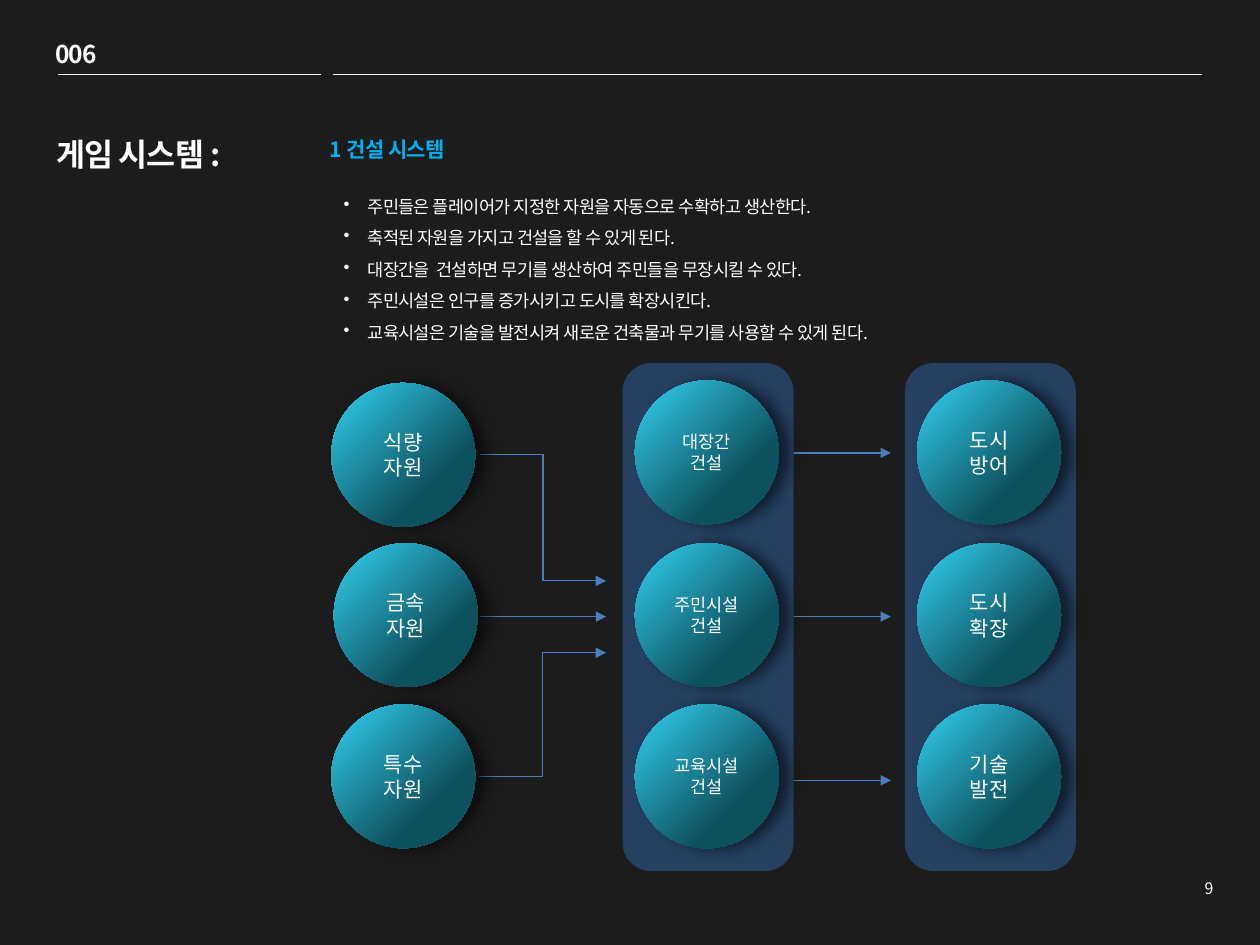
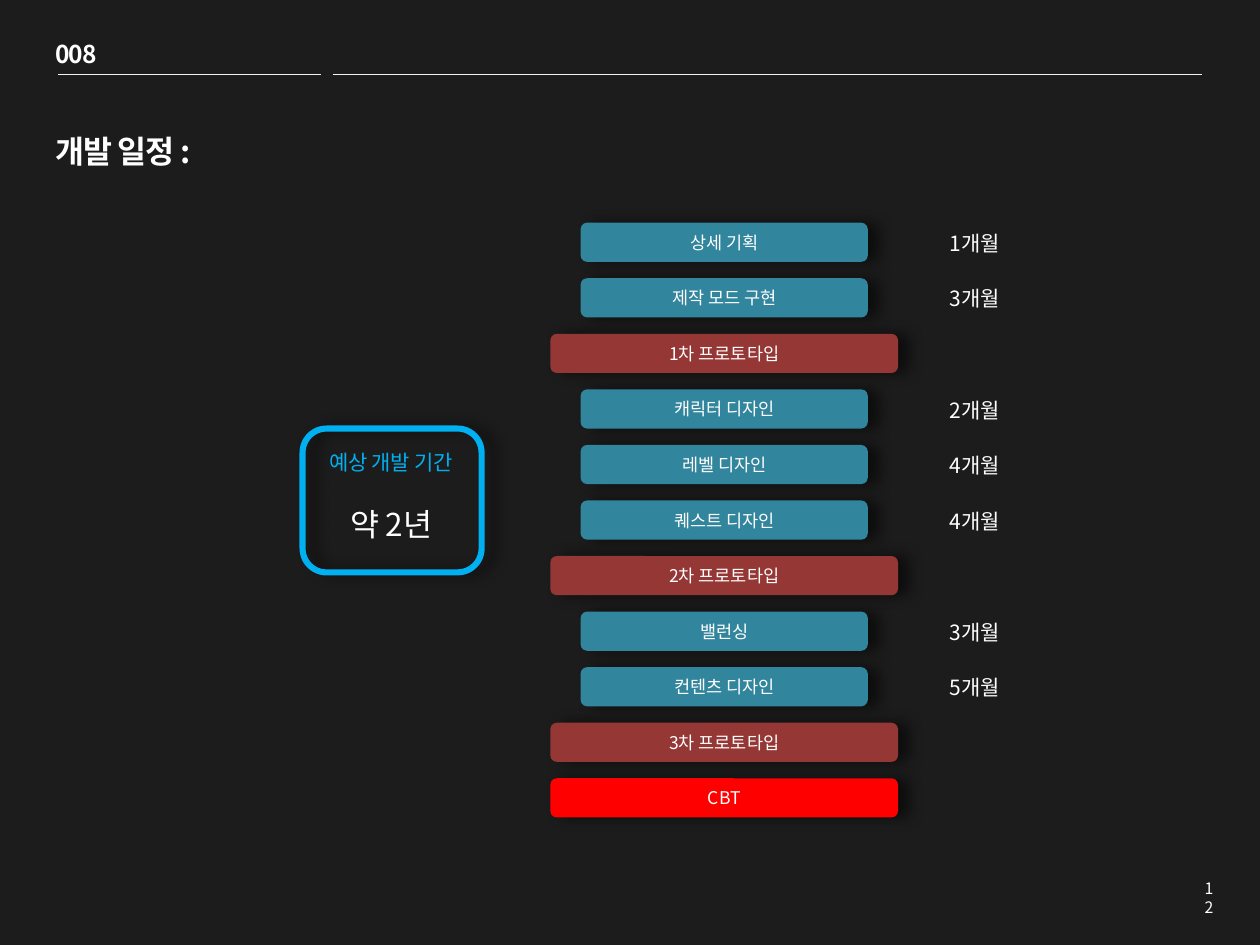
from lxml.etree import SubElement
from pptx import Presentation
from pptx.dml.color import RGBColor
from pptx.enum.shapes import MSO_CONNECTOR as CONN, MSO_SHAPE as SHAPE
from pptx.enum.text import PP_ALIGN as ALIGN
from pptx.oxml.ns import qn
from pptx.util import Cm, Pt

FONT = "Noto Sans CJK KR"
BACK = RGBColor(0x1C, 0x1C, 0x1C)
WHITE = RGBColor(0xFF, 0xFF, 0xFF)
RULE = RGBColor(0xF2, 0xF2, 0xF2)
SKY = RGBColor(0x00, 0xB0, 0xF0)
NAVY = RGBColor(0x25, 0x40, 0x61)
ARROW = RGBColor(0x4B, 0x7E, 0xBC)
TEAL = RGBColor(0x31, 0x85, 0x9C)
BRICK = RGBColor(0x95, 0x37, 0x35)
RED = RGBColor(0xFF, 0x00, 0x00)
BALL_STOPS = [(1, "78DCF0"), (5, "30C9E8"), (70, "0D515F")]


def write(sp, lines, size, color=WHITE, bold=False, align=ALIGN.LEFT, spc=0, wrap=True):
    tf = sp.text_frame
    tf.word_wrap = wrap
    tf.text = "\n".join(lines)
    for p in tf.paragraphs:
        p.alignment = align
        p.font.name, p.font.size, p.font.bold = FONT, Pt(size), bold
        p.font.color.rgb = color
        props = p._p.pPr.find(qn("a:defRPr"))
        props.set("spc", str(spc))
        props.find(qn("a:latin")).addnext(props.makeelement(qn("a:ea"), {"typeface": FONT}))
    return tf


def add_shadowed(s, kind, x, y, w, h):
    sp = s.shapes.add_shape(kind, Cm(x), Cm(y), Cm(w), Cm(h))
    sp.line.fill.background()
    sp.shadow.inherit = False
    shadow = SubElement(sp._element.spPr.find(qn("a:effectLst")), qn("a:outerShdw"),
                        blurRad=str(Pt(8)), dist=str(Pt(6)), dir="0", algn="ctr", rotWithShape="0")
    color = SubElement(shadow, qn("a:srgbClr"), val="000000")
    SubElement(color, qn("a:alpha"), val="55000")
    return sp


prs = Presentation()
prs.slide_width, prs.slide_height = Cm(25.4), Cm(19.05)

headers = [
    ("006", "게임 시스템 :", 0.89, 2.59, "9"),
    ("008", "개발 일정 :", 0.86, 2.54, "12"),
]
for section, title, x, y, page in headers:
    s = prs.slides.add_slide(prs.slide_layouts[6])
    s.background.fill.solid()
    s.background.fill.fore_color.rgb = BACK
    tb = s.shapes.add_textbox(Cm(0.86), Cm(0.66), Cm(1.37), Cm(0.86))
    write(tb, [section], 14, bold=True, spc=-50, wrap=False)
    for x1, x2 in [(1.17, 6.48), (6.71, 24.23)]:
        rule = s.shapes.add_connector(CONN.STRAIGHT, Cm(x1), Cm(1.5), Cm(x2), Cm(1.5))
        rule.line.color.rgb = RULE
        rule.line.width = Pt(0.25)
        SubElement(rule._element.spPr, qn("a:effectLst"))
    tb = s.shapes.add_textbox(Cm(24), Cm(17.6), Cm(0.71), Cm(0.63))
    write(tb, [page], 9, align=ALIGN.RIGHT)
    tb = s.shapes.add_textbox(Cm(x), Cm(y), Cm(5.59), Cm(4.09))
    write(tb, [title], 18, bold=True, spc=-50)

system, schedule = prs.slides

s = system
tb = s.shapes.add_textbox(Cm(6.4), Cm(2.62), Cm(7.19), Cm(0.76))
write(tb, ["1 건설 시스템"], 12, SKY, bold=True, spc=-30)

rules = [
    "주민들은 플레이어가 지정한 자원을 자동으로 수확하고 생산한다.",
    "축적된 자원을 가지고 건설을 할 수 있게 된다.",
    "대장간을  건설하면 무기를 생산하여 주민들을 무장시킬 수 있다.",
    "주민시설은 인구를 증가시키고 도시를 확장시킨다.",
    "교육시설은 기술을 발전시켜 새로운 건축물과 무기를 사용할 수 있게 된다.",
]
tb = s.shapes.add_textbox(Cm(6.68), Cm(3.61), Cm(16), Cm(3.45))
for p in write(tb, rules, 10, spc=-30).paragraphs:
    p.line_spacing = 1.5
    pPr = p._p.pPr
    pPr.set("marL", str(Cm(0.48)))
    pPr.set("indent", str(-Cm(0.48)))
    pPr.find(qn("a:defRPr")).addprevious(pPr.makeelement(qn("a:buChar"), {"char": "•"}))

arrows = [(CONN.STRAIGHT, 15.42, 9.13 + 3.3 * i, 17.96, 9.13 + 3.3 * i) for i in range(3)]
arrows += [
    (CONN.ELBOW, 9.68, 9.17, 12.22, 11.71),
    (CONN.STRAIGHT, 9.68, 12.43, 12.22, 12.43),
    (CONN.ELBOW, 9.65, 15.65, 12.22, 13.16),
]
for kind, *ends in arrows:
    arrow = s.shapes.add_connector(kind, *[Cm(v) for v in ends])
    arrow.line.color.rgb = ARROW
    arrow.line.width = Pt(0.75)
    SubElement(arrow.line._get_or_add_ln(), qn("a:tailEnd"), type="triangle")
    SubElement(arrow._element.spPr, qn("a:effectLst"))

for x in (12.55, 18.24):
    panel = s.shapes.add_shape(SHAPE.ROUNDED_RECTANGLE, Cm(x), Cm(7.32), Cm(3.45), Cm(10.24))
    panel.fill.solid()
    panel.fill.fore_color.rgb = NAVY
    panel.line.fill.background()
    panel.shadow.inherit = False

columns = [
    (12, [(6.68, 7.72, ["식량", "자원"]), (6.73, 10.95, ["금속", "자원"]), (6.68, 14.2, ["특수", "자원"])]),
    (10, [(12.8, 7.67, ["대장간", "건설"]), (12.8, 10.95, ["주민시설건설"]), (12.8, 14.2, ["교육시설건설"])]),
    (12, [(18.49, 7.67, ["도시", "방어"]), (18.49, 10.95, ["도시", "확장"]), (18.49, 14.2, ["기술", "발전"])]),
]
for size, balls in columns:
    for x, y, lines in balls:
        ball = add_shadowed(s, SHAPE.OVAL, x, y, 2.9, 2.9)
        ball.fill.gradient()
        ball.fill.gradient_angle = 315
        stops = ball._element.spPr.find(qn("a:gradFill")).find(qn("a:gsLst"))
        for stop in list(stops):
            stops.remove(stop)
        for pos, color in BALL_STOPS:
            stop = SubElement(stops, qn("a:gs"), pos=str(pos * 1000))
            SubElement(stop, qn("a:srgbClr"), val=color)
        write(ball, lines, size, align=ALIGN.CENTER)

s = schedule
steps = [
    ("상세 기획", TEAL, "1개월"),
    ("제작 모드 구현", TEAL, "3개월"),
    ("1차 프로토타입", BRICK, None),
    ("캐릭터 디자인", TEAL, "2개월"),
    ("레벨 디자인", TEAL, "4개월"),
    ("퀘스트 디자인", TEAL, "4개월"),
    ("2차 프로토타입", BRICK, None),
    ("밸런싱", TEAL, "3개월"),
    ("컨텐츠 디자인", TEAL, "5개월"),
    ("3차 프로토타입", BRICK, None),
    ("CBT", RED, None),
]
for i, (step, color, months) in enumerate(steps):
    y = 4.49 + 1.12 * i
    w = 5.79 if months else 7.01
    bar = add_shadowed(s, SHAPE.ROUNDED_RECTANGLE, 14.6 - w / 2, y, w, 0.79)
    bar.fill.solid()
    bar.fill.fore_color.rgb = color
    write(bar, [step], 10, align=ALIGN.CENTER)
    if months:
        tb = s.shapes.add_textbox(Cm(18.9), Cm(y + 0.03), Cm(3.61), Cm(0.76))
        write(tb, [months], 12, spc=-20)

tb = s.shapes.add_textbox(Cm(5.69), Cm(8.94), Cm(4.39), Cm(2.06))
tf = write(tb, ["예상 개발 기간", "약 2년"], 12, SKY, align=ALIGN.CENTER, spc=-20)
p = tf.paragraphs[1]
p.space_before = Pt(17)
p.font.size = Pt(18)
p.font.color.rgb = WHITE

frame = add_shadowed(s, SHAPE.ROUNDED_RECTANGLE, 6.1, 8.64, 3.61, 2.9)
frame.fill.background()
frame.line.color.rgb = SKY
frame.line.width = Pt(3.5)

prs.save("out.pptx")
